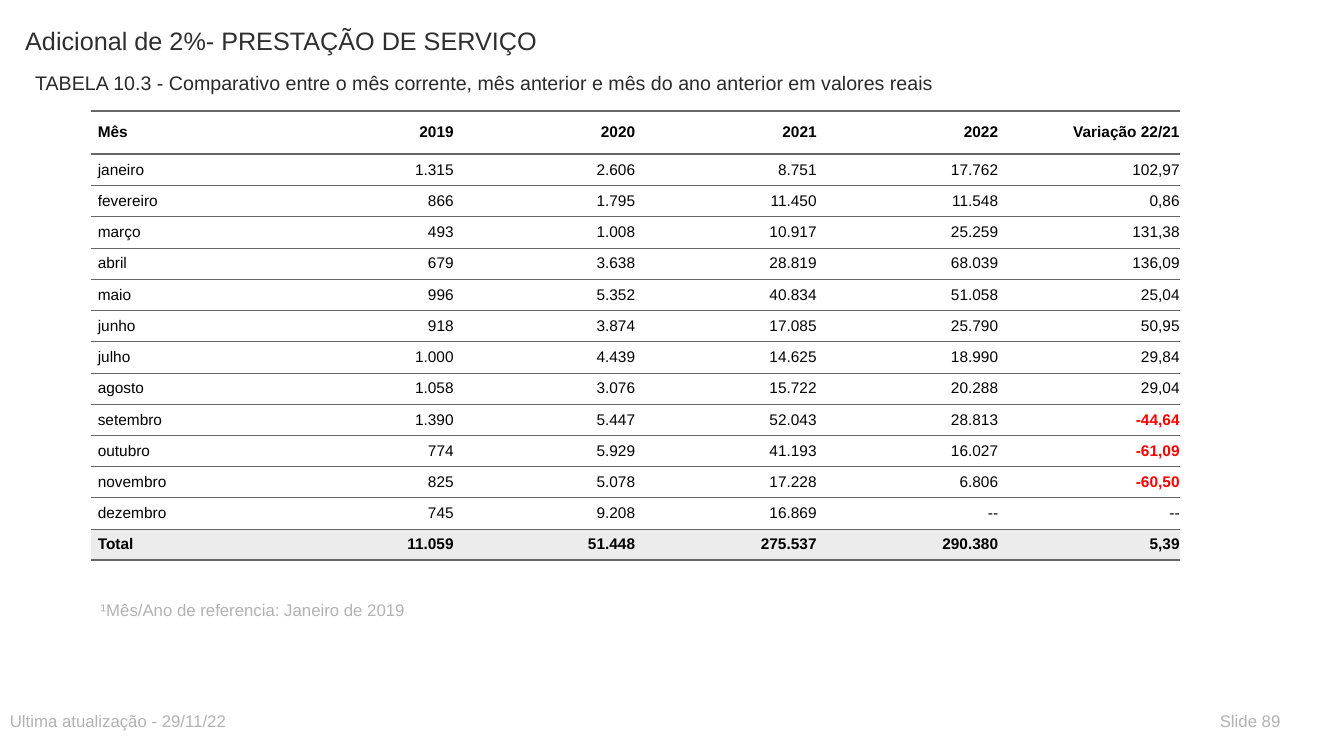
from lxml import etree
from pptx import Presentation
from pptx.dml.color import RGBColor
from pptx.enum.text import MSO_ANCHOR as Anchor, PP_ALIGN as Align
from pptx.oxml.ns import qn
from pptx.util import Inches, Pt

FONT = "Arial"
BLACK = RGBColor(0x00, 0x00, 0x00)
WHITE = RGBColor(0xFF, 0xFF, 0xFF)
RED = RGBColor(0xFF, 0x00, 0x00)
TITLE_INK = RGBColor(0x2D, 0x2E, 0x2D)
SUBTITLE_INK = RGBColor(0x29, 0x29, 0x29)
NOTE_GRAY = RGBColor(0xB2, 0xB2, 0xB2)
RULE_GRAY = RGBColor(0x66, 0x66, 0x66)
TOTAL_FILL = RGBColor(0xEC, 0xEC, 0xEC)

THICK, THIN = 2, 0.5
COLUMN_WIDTH, HEADER_HEIGHT, ROW_HEIGHT = 1.8, 0.43, 0.31

ROWS = [
    ("Mês", "2019", "2020", "2021", "2022", "Variação 22/21"),
    ("janeiro", "1.315", "2.606", "8.751", "17.762", "102,97"),
    ("fevereiro", "866", "1.795", "11.450", "11.548", "0,86"),
    ("março", "493", "1.008", "10.917", "25.259", "131,38"),
    ("abril", "679", "3.638", "28.819", "68.039", "136,09"),
    ("maio", "996", "5.352", "40.834", "51.058", "25,04"),
    ("junho", "918", "3.874", "17.085", "25.790", "50,95"),
    ("julho", "1.000", "4.439", "14.625", "18.990", "29,84"),
    ("agosto", "1.058", "3.076", "15.722", "20.288", "29,04"),
    ("setembro", "1.390", "5.447", "52.043", "28.813", "-44,64"),
    ("outubro", "774", "5.929", "41.193", "16.027", "-61,09"),
    ("novembro", "825", "5.078", "17.228", "6.806", "-60,50"),
    ("dezembro", "745", "9.208", "16.869", "--", "--"),
    ("Total", "11.059", "51.448", "275.537", "290.380", "5,39"),
]


def write_text(shape, text, size, color):
    frame = shape.text_frame
    frame.text = text
    frame.word_wrap = True
    frame.vertical_anchor = Anchor.TOP
    para = frame.paragraphs[0]
    para.alignment = Align.LEFT
    style_font(para.font, size, color)


def style_font(font, size, color, bold=False):
    font.name, font.size, font.bold = FONT, Pt(size), bold
    font.color.rgb = color


def place_title(slide, box, text):
    title = slide.shapes.title
    title.left, title.top, title.width, title.height = map(Inches, box)
    write_text(title, text, 18, TITLE_INK)


def add_label(slide, box, text, size, color):
    label = slide.shapes.add_textbox(*map(Inches, box))
    write_text(label, text, size, color)


def set_borders(cell, top, bottom):
    """Rule the cell above and below, in points, and leave its sides open."""
    properties = cell._tc.get_or_add_tcPr()
    for side, width in (("L", 0), ("R", 0), ("T", top), ("B", bottom)):
        line = etree.SubElement(properties, qn(f"a:ln{side}"), w=str(Pt(width)))
        if width:
            fill = etree.SubElement(line, qn("a:solidFill"))
            etree.SubElement(fill, qn("a:srgbClr"), val=str(RULE_GRAY))
        else:
            etree.SubElement(line, qn("a:noFill"))


def fill_cell(cell, text, is_label, bold, fill):
    cell.fill.solid()
    cell.fill.fore_color.rgb = fill
    cell.vertical_anchor = Anchor.MIDDLE
    cell.margin_left, cell.margin_right = Inches(0.07), 0
    cell.margin_top = cell.margin_bottom = Inches(0.06)
    cell.text = text
    para = cell.text_frame.paragraphs[0]
    para.alignment = Align.LEFT if is_label else Align.RIGHT
    negative = text.startswith("-") and text != "--"
    style_font(para.font, 11, RED if negative else BLACK, bold or negative)


def add_month_table(slide, left, top):
    last = len(ROWS) - 1
    width = COLUMN_WIDTH * len(ROWS[0])
    height = HEADER_HEIGHT + ROW_HEIGHT * last
    frame = slide.shapes.add_table(len(ROWS), len(ROWS[0]),
                                   *map(Inches, (left, top, width, height)))
    table = frame.table
    table.first_row = table.horz_banding = False
    for column in table.columns:
        column.width = Inches(COLUMN_WIDTH)
    rules = [THICK, THICK] + [THIN] * (last - 1) + [THICK]
    for i, values in enumerate(ROWS):
        table.rows[i].height = Inches(ROW_HEIGHT if i else HEADER_HEIGHT)
        for j, text in enumerate(values):
            cell = table.cell(i, j)
            set_borders(cell, rules[i], rules[i + 1])
            fill_cell(cell, text, j == 0, i in (0, last),
                      TOTAL_FILL if i == last else WHITE)


def add_footer(slide, top):
    add_label(slide, (0, top, 6.5, 0.3), "Ultima atualização - 29/11/22", 12, NOTE_GRAY)
    add_label(slide, (12, top, 0.9, 0.3), "Slide 89", 12, NOTE_GRAY)


def main():
    deck = Presentation()
    deck.slide_width, deck.slide_height = Inches(13.33), Inches(7.5)
    slide = deck.slides.add_slide(deck.slide_layouts[5])
    place_title(slide, (0.15, 0.2, 8, 0.59), "Adicional de 2%- PRESTAÇÃO DE SERVIÇO")
    add_label(slide, (0.25, 0.65, 10, 0.3),
              "TABELA 10.3 - Comparativo entre o mês corrente, mês anterior "
              "e mês do ano anterior em valores reais", 14, SUBTITLE_INK)
    add_month_table(slide, 0.9, 1.1)
    add_label(slide, (0.9, 5.9, 6.5, 0.3),
              "¹Mês/Ano de referencia: Janeiro de 2019", 12, NOTE_GRAY)
    add_footer(slide, 7)
    deck.save("out.pptx")


if __name__ == "__main__":
    main()
